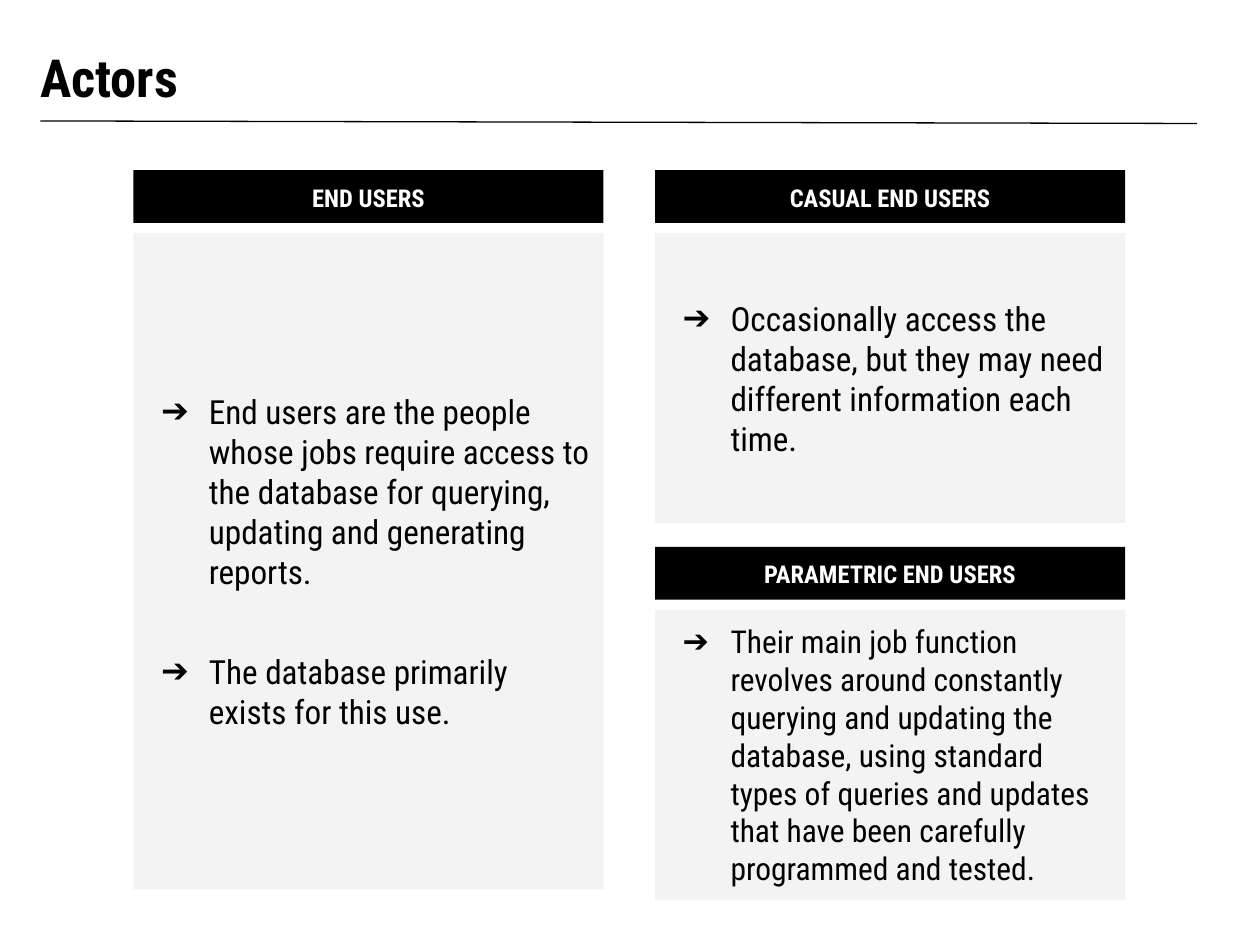
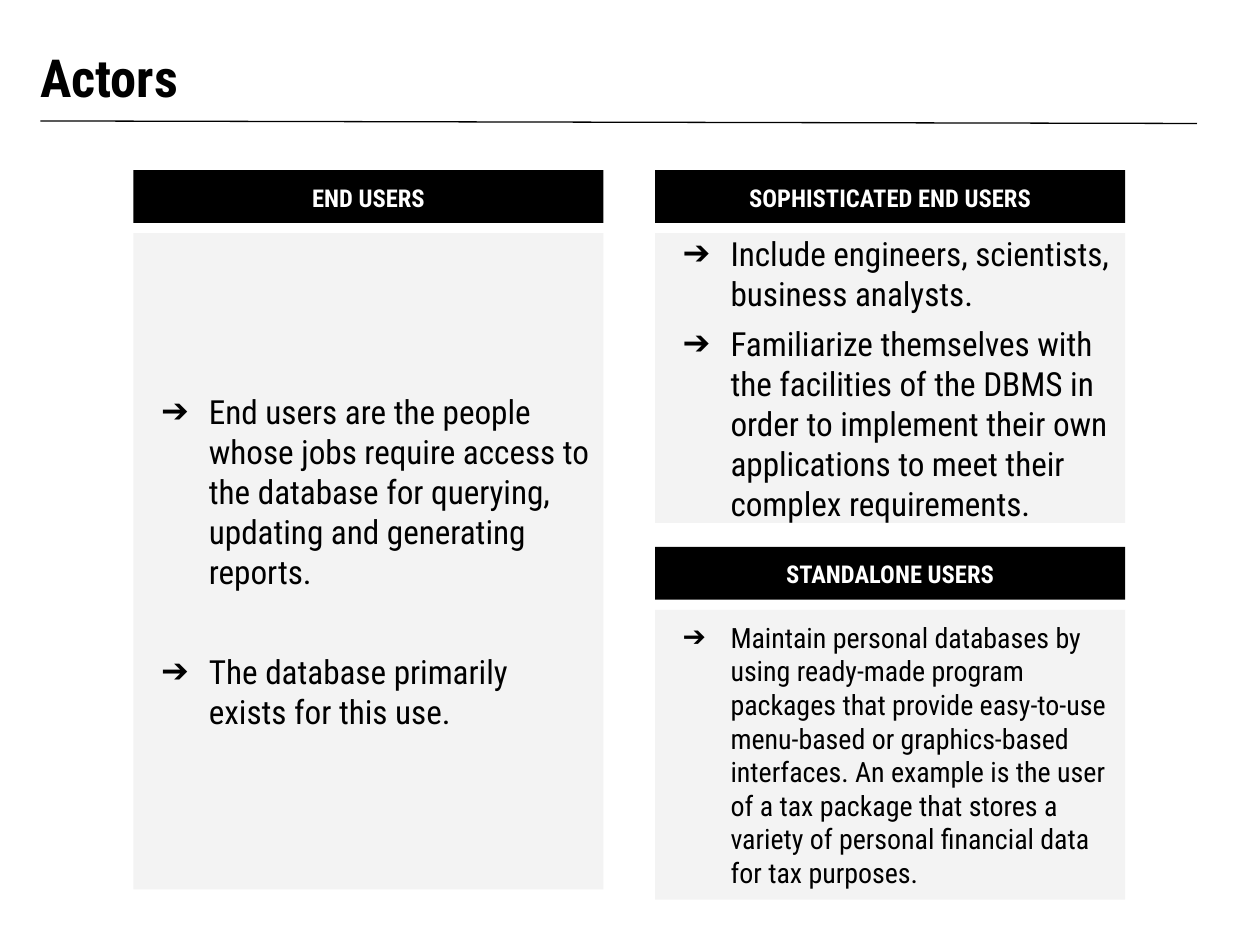
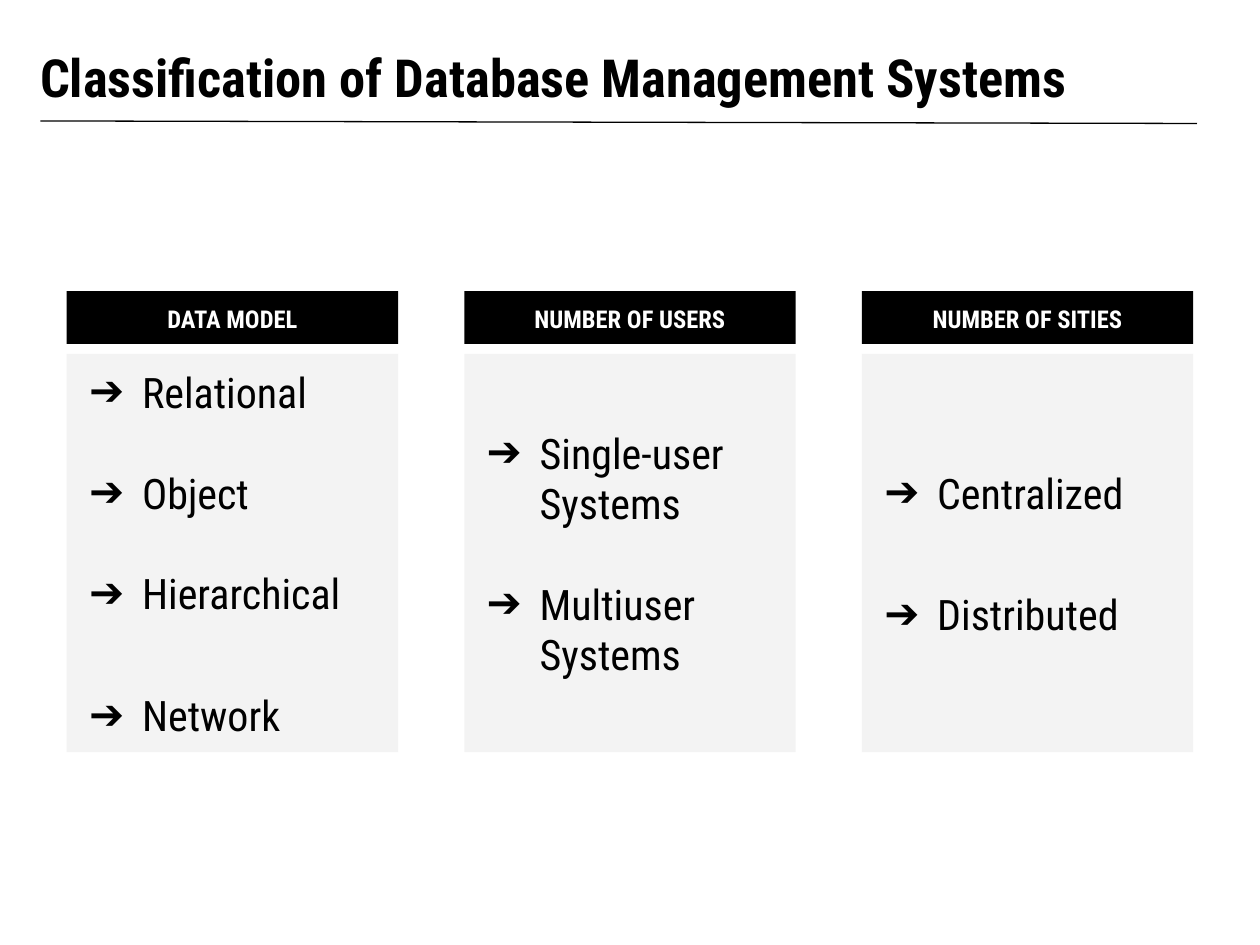
from lxml.etree import SubElement
from pptx import Presentation
from pptx.dml.color import RGBColor
from pptx.enum.shapes import MSO_CONNECTOR, MSO_SHAPE
from pptx.enum.text import MSO_ANCHOR, PP_ALIGN
from pptx.oxml.ns import qn
from pptx.util import Inches, Pt

# Shared style
FONT = "Roboto Condensed"
BLACK, WHITE, PANEL_GREY = "000000", "FFFFFF", "F3F3F3"
HEADER_HEIGHT = 0.42
BODY_OFFSET = 0.5
SPACE_BEFORE = 6
LINE_HEIGHT = 1.2

# Two-column layout of the actors slides
LEFT_COLUMN, RIGHT_COLUMN, ACTOR_WIDTH = 1.06, 5.2, 3.73
UPPER_ROW, LOWER_ROW = 1.35, 4.34
TALL_BODY, SHORT_BODY = 5.21, 2.3

# Three-column layout of the classification slide
CLASS_LEFT, CLASS_TOP, CLASS_PITCH = 0.53, 2.31, 3.155
CLASS_WIDTH, CLASS_BODY = 2.63, 3.16

END_USERS = [
    "End users are the people whose jobs require access to the database for "
    "querying, updating and generating reports.",
    "The database primarily exists for this use.",
]


def color(hex_value):
    return RGBColor.from_string(hex_value)


def format_runs(paragraph, size, hex_value, bold=False):
    for run in paragraph.runs:
        run.font.name = FONT
        run.font.size = Pt(size)
        run.font.bold = bold
        run.font.color.rgb = color(hex_value)


def set_frame(text_frame, anchor):
    text_frame.word_wrap = True
    text_frame.vertical_anchor = anchor
    text_frame.margin_left = text_frame.margin_right = Inches(0.1)
    text_frame.margin_top = text_frame.margin_bottom = Inches(0.1)


def add_bullet(paragraph, hanging):
    properties = paragraph._p.get_or_add_pPr()
    properties.set("marL", str(Inches(0.5)))
    properties.set("indent", str(-Inches(hanging)))
    bullet_color = SubElement(properties, qn("a:buClr"))
    SubElement(bullet_color, qn("a:srgbClr"), val=BLACK)
    SubElement(properties, qn("a:buFont"), typeface=FONT)
    SubElement(properties, qn("a:buChar"), char="➔")


def add_title_slide(presentation, title):
    """Add a blank slide with the shared title and rule."""
    slide = presentation.slides.add_slide(presentation.slide_layouts[6])
    rule = slide.shapes.add_connector(
        MSO_CONNECTOR.STRAIGHT, Inches(0.32), Inches(0.96), Inches(9.5), Inches(0.98))
    rule.line.color.rgb = color(BLACK)
    rule.line.width = Pt(0.75)
    SubElement(rule._element.spPr, qn("a:effectLst"))

    box = slide.shapes.add_textbox(Inches(0.22), Inches(0.22), Inches(9), Inches(0.74))
    set_frame(box.text_frame, MSO_ANCHOR.BOTTOM)
    box.text_frame.text = title
    format_runs(box.text_frame.paragraphs[0], 30, BLACK, bold=True)
    return slide


def add_rectangle(slide, left, top, width, height, fill, anchor):
    shape = slide.shapes.add_shape(
        MSO_SHAPE.RECTANGLE, Inches(left), Inches(top), Inches(width), Inches(height))
    shape.shadow.inherit = False
    shape.fill.solid()
    shape.fill.fore_color.rgb = color(fill)
    shape.line.fill.background()
    set_frame(shape.text_frame, anchor)
    return shape.text_frame


def add_panel(slide, left, top, width, body_height, heading, items, size,
              gaps=(), hanging=0.38):
    """Add a black heading over a grey list; gaps are points before each later item."""
    body = add_rectangle(slide, left, top + BODY_OFFSET, width, body_height,
                         PANEL_GREY, MSO_ANCHOR.MIDDLE)
    body.text = "\n".join(items)
    spaces = [SPACE_BEFORE, *(gaps or [SPACE_BEFORE] * (len(items) - 1))]
    for paragraph, space in zip(body.paragraphs, spaces):
        paragraph.alignment = PP_ALIGN.LEFT
        paragraph.space_before = Pt(space)
        add_bullet(paragraph, hanging)
        format_runs(paragraph, size, BLACK)

    header = add_rectangle(slide, left, top, width, HEADER_HEIGHT, BLACK, MSO_ANCHOR.TOP)
    header.text = heading
    header.paragraphs[0].alignment = PP_ALIGN.CENTER
    format_runs(header.paragraphs[0], 14, WHITE, bold=True)


def add_actors_slide(presentation, upper, lower):
    """Add the end users panel and two panels (heading, items, size) beside it."""
    slide = add_title_slide(presentation, "Actors")
    wide_gap = 19 * LINE_HEIGHT + 2 * SPACE_BEFORE
    add_panel(slide, LEFT_COLUMN, UPPER_ROW, ACTOR_WIDTH, TALL_BODY,
              "END USERS", END_USERS, 19, [wide_gap])
    for top, panel in ((UPPER_ROW, upper), (LOWER_ROW, lower)):
        add_panel(slide, RIGHT_COLUMN, top, ACTOR_WIDTH, SHORT_BODY, *panel)


def add_classification_slide(presentation):
    slide = add_title_slide(presentation, "Classification of Database Management Systems")
    line_gap = 24 * LINE_HEIGHT
    wide_gap = line_gap + 2 * SPACE_BEFORE
    panels = [
        ("DATA MODEL", ["Relational", "Object", "Hierarchical", "Network"],
         [line_gap, line_gap, wide_gap]),
        ("NUMBER OF USERS", ["Single-user Systems", "Multiuser Systems"], [line_gap]),
        ("NUMBER OF SITIES", ["Centralized", "Distributed"], [wide_gap]),
    ]
    for column, (heading, items, gaps) in enumerate(panels):
        add_panel(slide, CLASS_LEFT + column * CLASS_PITCH, CLASS_TOP, CLASS_WIDTH,
                  CLASS_BODY, heading, items, 24, gaps, hanging=0.42)


def main():
    presentation = Presentation()
    presentation.slide_width = Inches(10)
    presentation.slide_height = Inches(7.5)

    add_actors_slide(
        presentation,
        ("CASUAL END USERS",
         ["Occasionally access the database, but they may need different "
          "information each time."], 19),
        ("PARAMETRIC END USERS",
         ["Their main job function revolves around constantly querying and updating "
          "the database, using standard types of queries and updates that have been "
          "carefully programmed and tested."], 18))
    add_actors_slide(
        presentation,
        ("SOPHISTICATED END USERS",
         ["Include engineers, scientists, business analysts.",
          "Familiarize themselves with the facilities of the DBMS in order to "
          "implement their own applications to meet their complex requirements."], 19),
        ("STANDALONE USERS",
         ["Maintain personal databases by using ready-made program packages that "
          "provide easy-to-use menu-based or graphics-based interfaces. An example is "
          "the user of a tax package that stores a variety of personal financial data "
          "for tax purposes."], 16))
    add_classification_slide(presentation)
    presentation.save("out.pptx")


if __name__ == "__main__":
    main()
